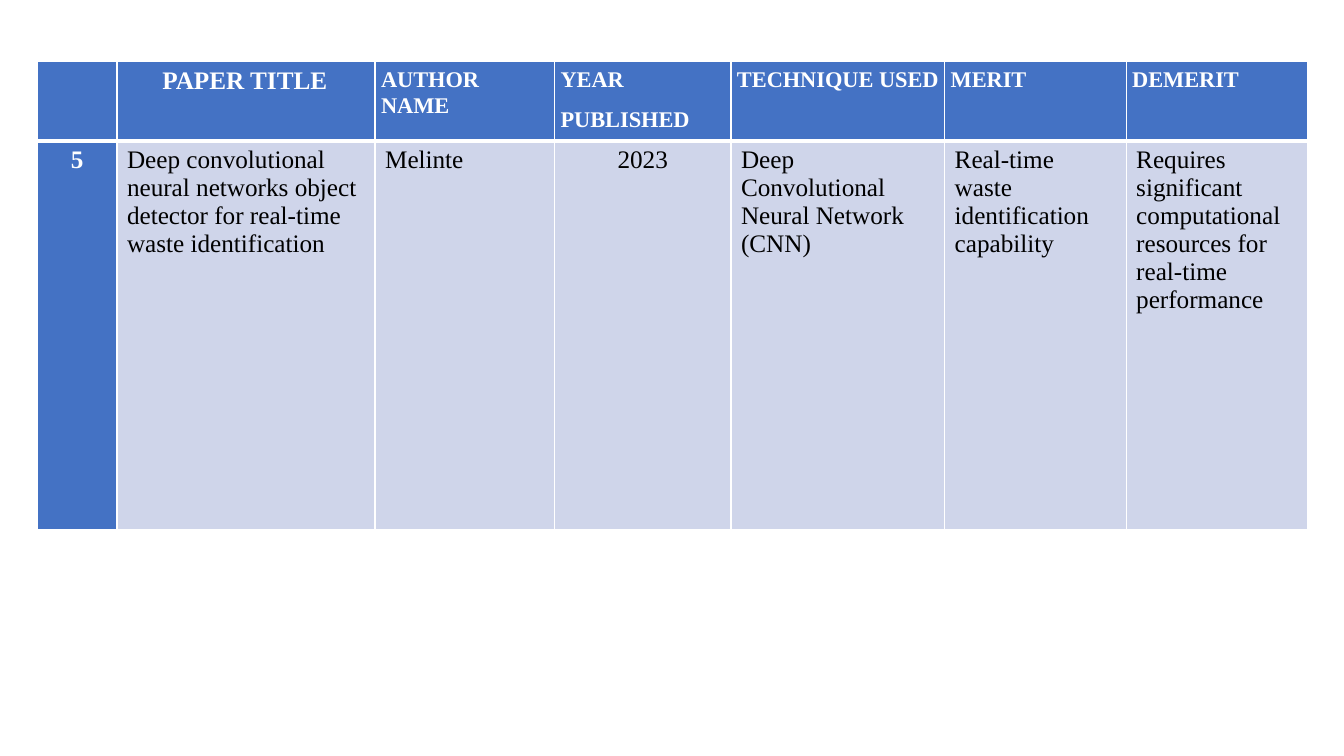
from dataclasses import dataclass

from lxml import etree
from pptx import Presentation
from pptx.dml.color import RGBColor
from pptx.enum.text import PP_ALIGN
from pptx.oxml.ns import qn
from pptx.util import Inches, Pt

LEFT, CENTER = PP_ALIGN.LEFT, PP_ALIGN.CENTER


@dataclass(frozen=True)
class Theme:
    """Colours, font and type sizes of the slide."""
    font: str = "Times New Roman"
    header: str = "4472C4"
    body: str = "CFD5EA"
    white: str = "FFFFFF"
    black: str = "000000"
    large: int = 18
    small: int = 16
    thin: int = 1
    thick: int = 3


THEME = Theme()
COLUMNS = (0.79, 2.56, 1.78, 1.75, 2.12, 1.8, 1.8)
ROWS = (0.79, 3.85)
HEADINGS = ("", "PAPER TITLE", "AUTHOR NAME", "YEAR\nPUBLISHED",
            "TECHNIQUE USED", "MERIT", "DEMERIT")
PAPER = (
    "5",
    "Deep convolutional neural networks object detector for real-time "
    "waste identification",
    "Melinte",
    "2023",
    "Deep Convolutional Neural Network (CNN)",
    "Real-time waste identification capability",
    "Requires significant computational resources for real-time performance",
)


def set_borders(cell, **widths):
    """Draw white cell borders with a width in points for each side."""
    tcPr = cell._tc.get_or_add_tcPr()
    for i, side in enumerate("LRTB"):
        width = Pt(widths.get(side, THEME.thin))
        ln = etree.Element(qn(f"a:ln{side}"), w=str(width))
        fill = etree.SubElement(ln, qn("a:solidFill"))
        etree.SubElement(fill, qn("a:srgbClr"), val=THEME.white)
        tcPr.insert(i, ln)


def set_fill(cell, color):
    """Fill a cell with one colour."""
    cell.fill.solid()
    cell.fill.fore_color.rgb = RGBColor.from_string(color)


def write(cell, text, size=THEME.large, color=THEME.black, bold=False,
          align=LEFT, spacing=1.0, after=0, margin=0, indent=0):
    """Write text into a cell, one paragraph for each line."""
    tf = cell.text_frame
    tf.text = text
    for p in tf.paragraphs:
        p.alignment = align
        p.line_spacing = spacing
        p.space_after = Pt(after)
        pPr = p._p.get_or_add_pPr()
        pPr.set("marL", str(Inches(margin)))
        pPr.set("indent", str(Inches(indent)))
        for r in p.runs:
            r.font.name = THEME.font
            r.font.size = Pt(size)
            r.font.bold = bold
            r.font.color.rgb = RGBColor.from_string(color)


def add_heading(cell, text, **layout):
    """Format one cell of the header row."""
    cell.margin_left, cell.margin_right = Inches(0.06), Inches(0.03)
    cell.margin_top, cell.margin_bottom = Inches(0.04), Inches(0)
    write(cell, text, color=THEME.white, bold=True, spacing=1.07, after=9.8,
          **layout)
    set_fill(cell, THEME.header)
    set_borders(cell, B=THEME.thick)


def add_entry(cell, text, fill=THEME.body, **layout):
    """Format one cell of the paper row."""
    write(cell, text, **layout)
    set_fill(cell, fill)
    set_borders(cell, T=THEME.thick)


def add_survey_table(s):
    """Add the literature survey table."""
    table = s.shapes.add_table(
        len(ROWS), len(COLUMNS), Inches(0.37), Inches(0.61),
        Inches(sum(COLUMNS)), Inches(sum(ROWS))).table
    for column, width in zip(table.columns, COLUMNS):
        column.width = Inches(width)
    for row, height in zip(table.rows, ROWS):
        row.height = Inches(height)

    title_layout = dict(size=THEME.large, margin=0.65, indent=-0.26)
    for i, text in enumerate(HEADINGS):
        layout = title_layout if i == 1 else dict(size=THEME.small)
        add_heading(table.cell(0, i), text, **layout)

    entry_layouts = {
        0: dict(fill=THEME.header, color=THEME.white, bold=True, align=CENTER),
        3: dict(align=CENTER),
    }
    for i, text in enumerate(PAPER):
        add_entry(table.cell(1, i), text, **entry_layouts.get(i, {}))


def main():
    """Build the slide and save it."""
    prs = Presentation()
    prs.slide_width, prs.slide_height = Inches(13.33), Inches(7.5)
    s = prs.slides.add_slide(prs.slide_layouts[6])
    add_survey_table(s)
    prs.save("out.pptx")


if __name__ == "__main__":
    main()
